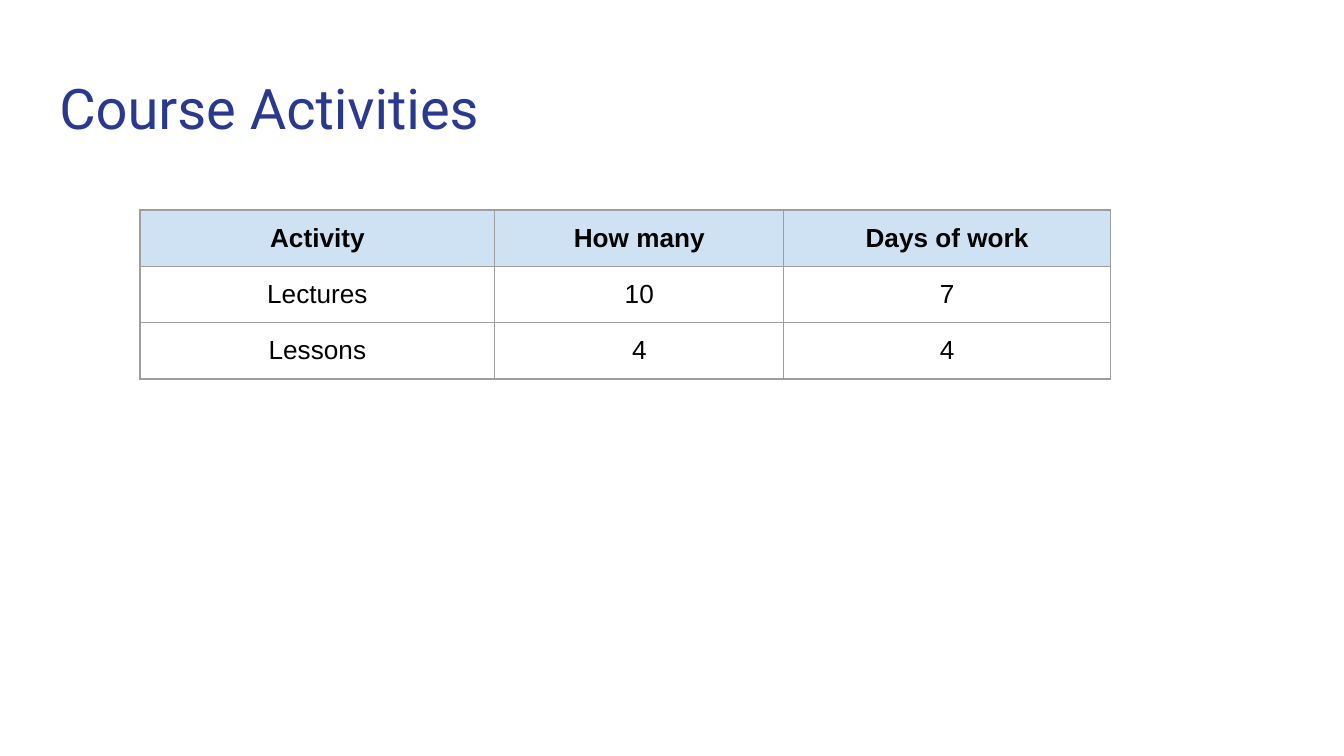
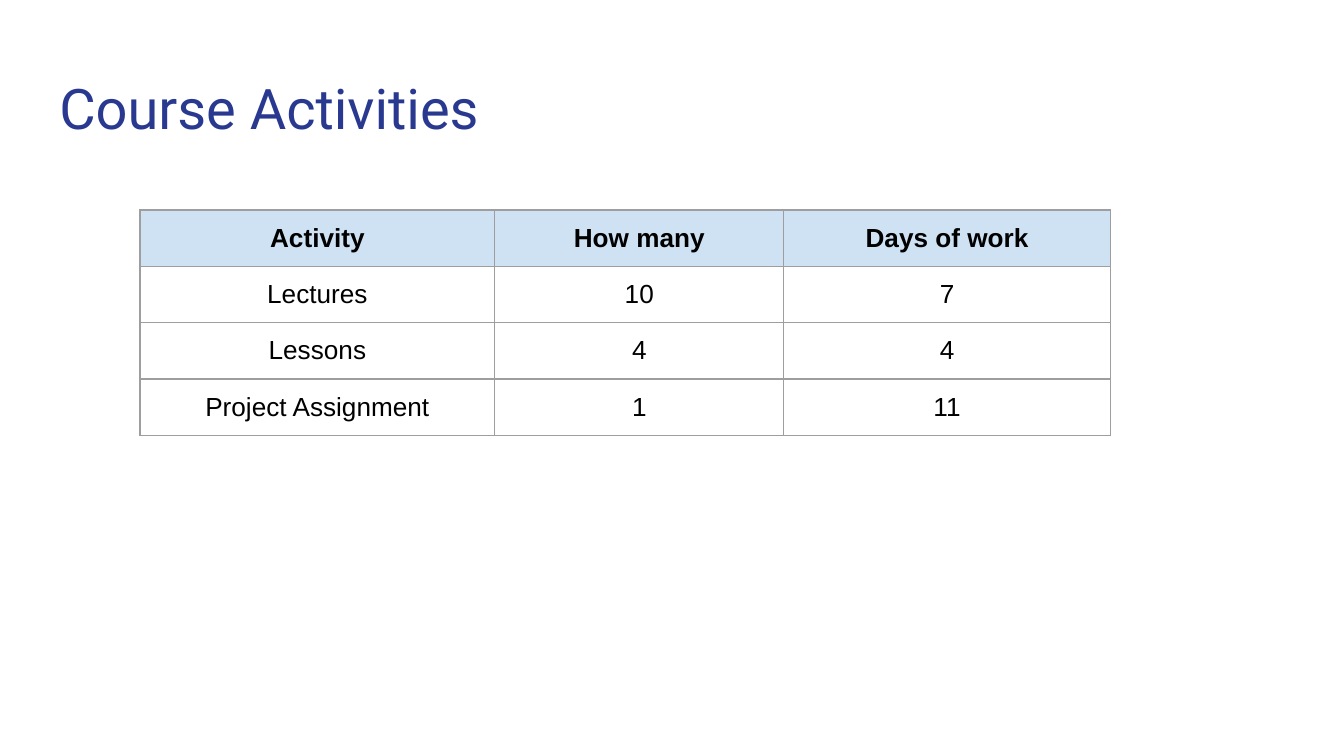
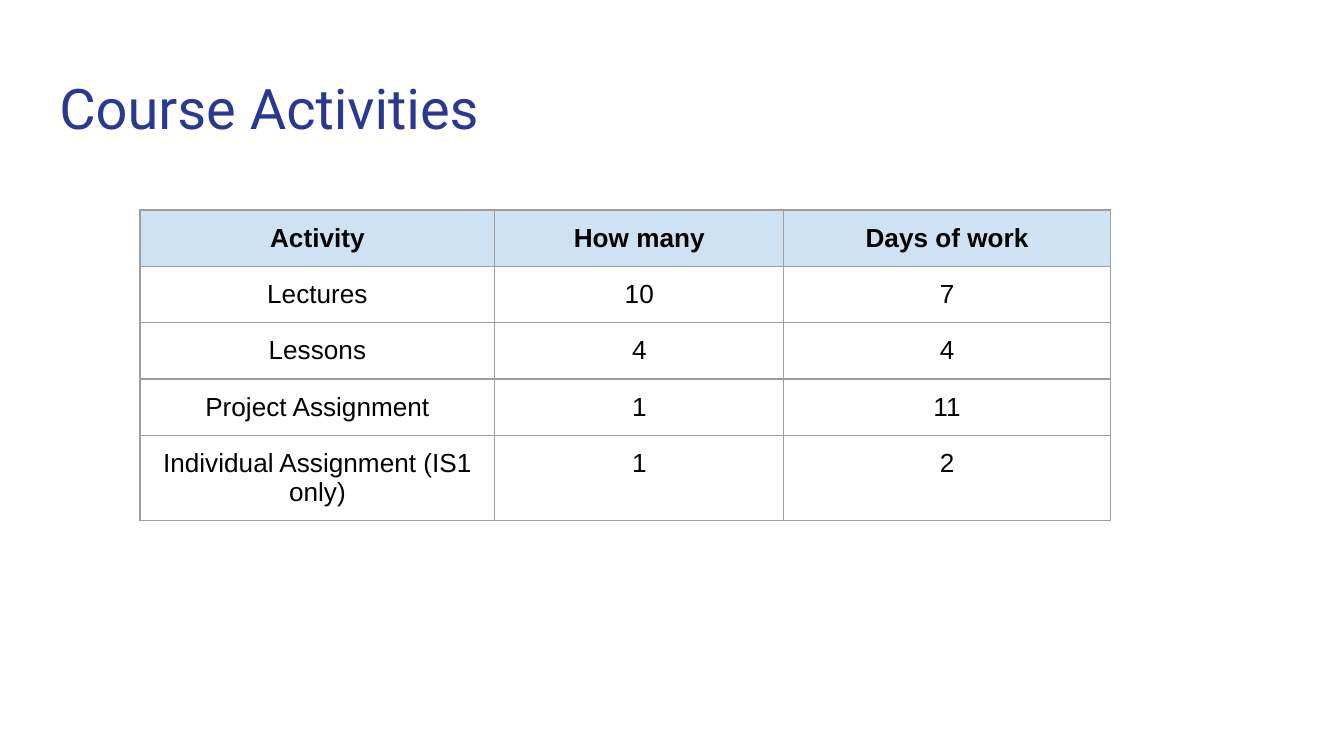
from lxml.etree import SubElement
from pptx import Presentation
from pptx.dml.color import RGBColor
from pptx.enum.text import MSO_ANCHOR, PP_ALIGN
from pptx.oxml.ns import qn
from pptx.util import Inches, Pt

COLORS = {"title": "2A3990", "text": "000000", "header": "CFE2F3", "border": "9E9E9E"}
WIDTH = Inches(10)
HEIGHT = WIDTH * 9 // 16
COL, ROW = WIDTH / 100, HEIGHT / 100
INSET = Inches(0.1)
TITLE_BOX = (3.41, 8, 93.2, 11.73)
TABLE_BOX = (10.42, 27.78, 72.2, 7.45)
COLUMN_WEIGHTS = (264, 215, 243)

TITLE = "Course Activities"
HEADER = ("Activity", "How many", "Days of work")
ACTIVITIES = (
    ("Lectures", "10", "7"),
    ("Lessons", "4", "4"),
    ("Project Assignment", "1", "11"),
    ("Individual Assignment (IS1 only)", "1", "2"),
)
SHOWN_COUNTS = (2, 3, 4)


def place(box):
    left, top, width, height = box
    return round(left * COL), round(top * ROW), round(width * COL), round(height * ROW)


def set_insets(target):
    target.margin_left = target.margin_right = INSET
    target.margin_top = target.margin_bottom = INSET


def add_run(p, text, font, size, color, bold=False):
    r = p.add_run()
    r.text = text
    r.font.name = font
    r.font.size = Pt(size)
    r.font.bold = bold
    r.font.color.rgb = RGBColor.from_string(COLORS[color])


def set_title(s, box):
    sp = s.shapes.title
    sp.left, sp.top, sp.width, sp.height = place(box)
    tf = sp.text_frame
    tf.word_wrap = True
    tf.vertical_anchor = MSO_ANCHOR.TOP
    set_insets(tf)
    p = tf.paragraphs[0]
    p.alignment = PP_ALIGN.LEFT
    add_run(p, TITLE, "Roboto", 30, "title")


def set_borders(cell):
    tc_pr = cell._tc.get_or_add_tcPr()
    for side in ("lnL", "lnR", "lnT", "lnB"):
        ln = SubElement(tc_pr, qn(f"a:{side}"), w=str(Pt(0.75)))
        fill = SubElement(ln, qn("a:solidFill"))
        SubElement(fill, qn("a:srgbClr"), val=COLORS["border"])


def fill_cell(cell, text, is_header):
    set_insets(cell)
    set_borders(cell)
    if is_header:
        cell.fill.solid()
        cell.fill.fore_color.rgb = RGBColor.from_string(COLORS["header"])
    else:
        cell.fill.background()
    p = cell.text_frame.paragraphs[0]
    p.alignment = PP_ALIGN.CENTER
    add_run(p, text, "Arial", 14, "text", bold=is_header)


def add_activity_table(s, box, activities):
    rows = (HEADER, *activities)
    left, top, width, row_height = place(box)
    table = s.shapes.add_table(
        len(rows), len(HEADER), left, top, width, row_height * len(rows)
    ).table
    table.first_row = table.horz_banding = False
    for column, weight in zip(table.columns, COLUMN_WEIGHTS):
        column.width = round(width * weight / sum(COLUMN_WEIGHTS))
    for i, values in enumerate(rows):
        table.rows[i].height = row_height
        for j, text in enumerate(values):
            fill_cell(table.cell(i, j), text, is_header=i == 0)


def add_activities_slide(prs, activities):
    s = prs.slides.add_slide(prs.slide_layouts[5])
    set_title(s, TITLE_BOX)
    add_activity_table(s, TABLE_BOX, activities)


def main():
    prs = Presentation()
    prs.slide_width, prs.slide_height = WIDTH, HEIGHT
    for count in SHOWN_COUNTS:
        add_activities_slide(prs, ACTIVITIES[:count])
    prs.save("out.pptx")


if __name__ == "__main__":
    main()
